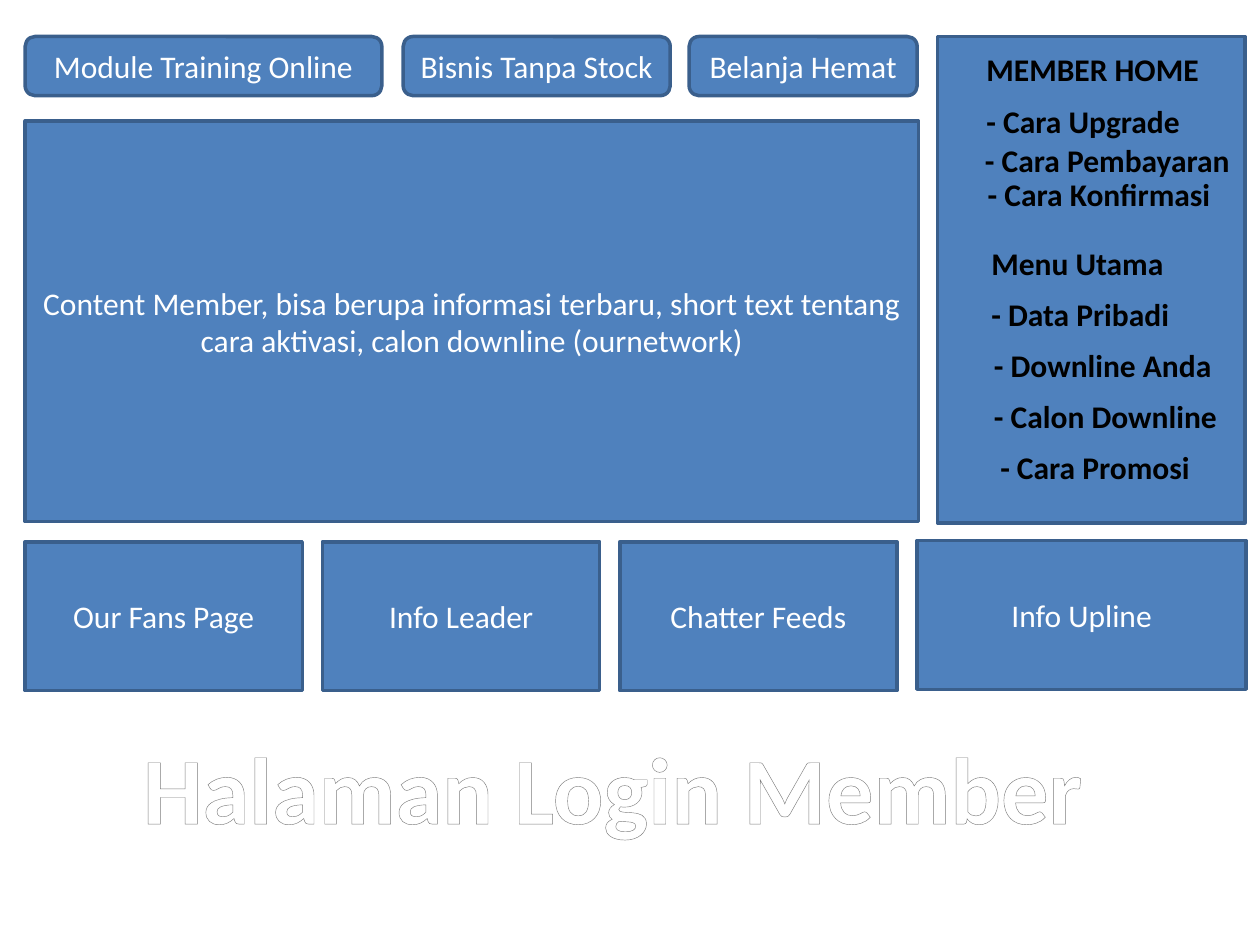
from lxml import etree
from pptx import Presentation
from pptx.dml.color import RGBColor
from pptx.enum.shapes import MSO_SHAPE as SHAPE
from pptx.enum.text import MSO_ANCHOR as ANCHOR, MSO_AUTO_SIZE as FIT, PP_ALIGN as ALIGN
from pptx.oxml.ns import qn
from pptx.util import Pt

FONT = "Calibri"
LEFT = 14.4
TABS = [("Module Training Online", LEFT, 203.8),
        ("Bisnis Tanpa Stock", 230.4, 152.6),
        ("Belanja Hemat", 393.8, 130.3)]
PANELS = [("Our Fans Page", 309.6, 158.4),
          ("Info Leader", 309.6, 158.4),
          ("Chatter Feeds", 309.6, 158.4),
          ("Info Upline", 308.9, 188)]
PANEL_PITCH = 169.9
CONTENT = ("Content Member, bisa berupa informasi terbaru, short text tentang "
           "cara aktivasi, calon downline (ournetwork)")
MENU = [("MEMBER HOME", 556.6, 25.2, 136.8),
        ("- Cara Upgrade", 556.6, 54.5, 126),
        ("- Cara Pembayaran", 555.8, 77, 155.5),
        ("- Cara Konfirmasi", 557.3, 96.5, 143.3),
        ("Menu Utama", 559.4, 136, 113.8),
        ("- Data Pribadi", 559.4, 165, 117.4),
        ("- Downline Anda", 560.9, 194.2, 139.7),
        ("- Calon Downline", 560.9, 223.2, 142.6),
        ("- Cara Promosi", 564.5, 252.2, 123.8)]
GLOW = [(0, "FFFFFF"), (9, "FFFFFF"), (50, "7F7F7F"), (79, "FFFFFF"), (100, "FFFFFF")]


def color(hex_code):
    return RGBColor.from_string(hex_code)


def style(tf, text, size, hex_code, bold=False):
    tf.text = text
    r = tf.paragraphs[0].runs[0]
    r.font.name = FONT
    r.font.size = Pt(size)
    r.font.bold = bold
    r.font.color.rgb = color(hex_code)
    return r


def add_box(slide, x, y, w, h, text="", kind=SHAPE.RECTANGLE):
    sp = slide.shapes.add_shape(kind, Pt(x), Pt(y), Pt(w), Pt(h))
    sp.shadow.inherit = False
    sp.fill.solid()
    sp.fill.fore_color.rgb = color("4F81BD")
    sp.line.color.rgb = color("3A5F8C")
    sp.line.width = Pt(2)
    if text:
        tf = sp.text_frame
        tf.word_wrap = True
        tf.vertical_anchor = ANCHOR.MIDDLE
        style(tf, text, 18, "FFFFFF")
        tf.paragraphs[0].alignment = ALIGN.CENTER


def add_label(slide, text, x, y, w):
    sp = slide.shapes.add_textbox(Pt(x), Pt(y), Pt(w), Pt(29))
    tf = sp.text_frame
    tf.word_wrap = False
    tf.auto_size = FIT.SHAPE_TO_FIT_TEXT
    style(tf, text, 18, "000000", bold=True)


def add_color_node(parent, hex_code):
    etree.SubElement(parent, qn("a:srgbClr"), val=hex_code)


def outline_gradient(r):
    rpr = r.font._element
    rpr.remove(rpr.find(qn("a:solidFill")))
    ln = etree.Element(qn("a:ln"), w=str(Pt(0.83)))
    add_color_node(etree.SubElement(ln, qn("a:solidFill")), "7D7D7D")
    grad = etree.Element(qn("a:gradFill"))
    stops = etree.SubElement(grad, qn("a:gsLst"))
    for pos, hex_code in GLOW:
        add_color_node(etree.SubElement(stops, qn("a:gs"), pos=str(pos * 1000)), hex_code)
    etree.SubElement(grad, qn("a:lin"), ang="5400000")
    rpr.insert(0, ln)
    rpr.insert(1, grad)


def set_title(slide, text, x, y, w, h):
    sp = slide.shapes.title
    sp.left, sp.top, sp.width, sp.height = Pt(x), Pt(y), Pt(w), Pt(h)
    tf = sp.text_frame
    tf.word_wrap = False
    tf.auto_size = FIT.SHAPE_TO_FIT_TEXT
    tf.vertical_anchor = ANCHOR.TOP
    r = style(tf, text, 54, "FFFFFF", bold=True)
    tf.paragraphs[0].alignment = ALIGN.CENTER
    outline_gradient(r)


def main():
    prs = Presentation()
    prs.slide_width, prs.slide_height = Pt(720), Pt(540)
    s = prs.slides.add_slide(prs.slide_layouts[5])
    for text, x, w in TABS:
        add_box(s, x, 20.9, w, 33.8, text, SHAPE.ROUNDED_RECTANGLE)
    add_box(s, 535.7, 20.9, 175.7, 278)
    for text, x, y, w in MENU:
        add_label(s, text, x, y, w)
    add_box(s, LEFT, 69.1, 510.5, 229, CONTENT)
    for i, (text, y, w) in enumerate(PANELS):
        add_box(s, LEFT + i * PANEL_PITCH, y, w, 85, text)
    set_title(s, "Halaman Login Member", 71.3, 413.3, 558, 72.7)
    prs.save("out.pptx")


main()
